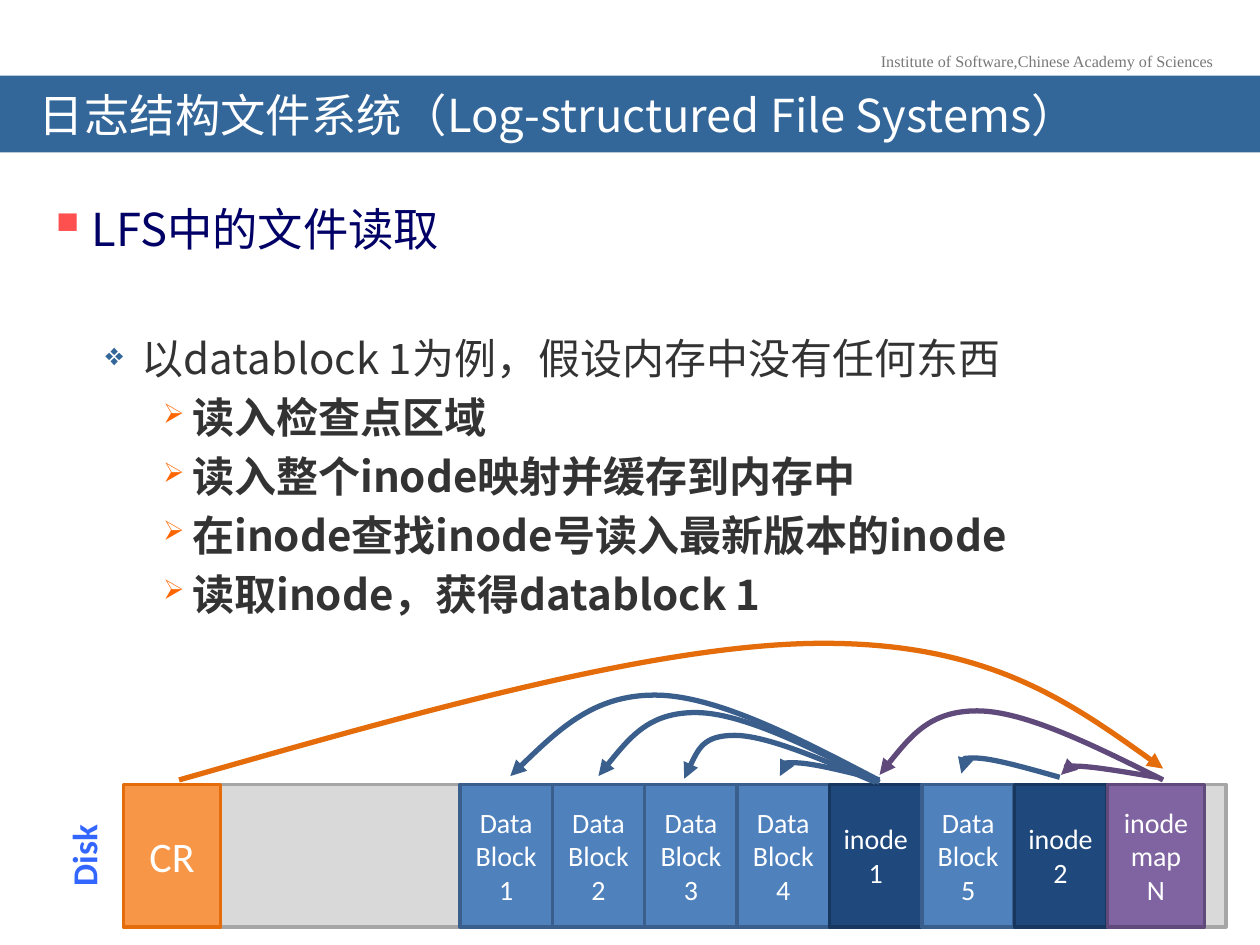
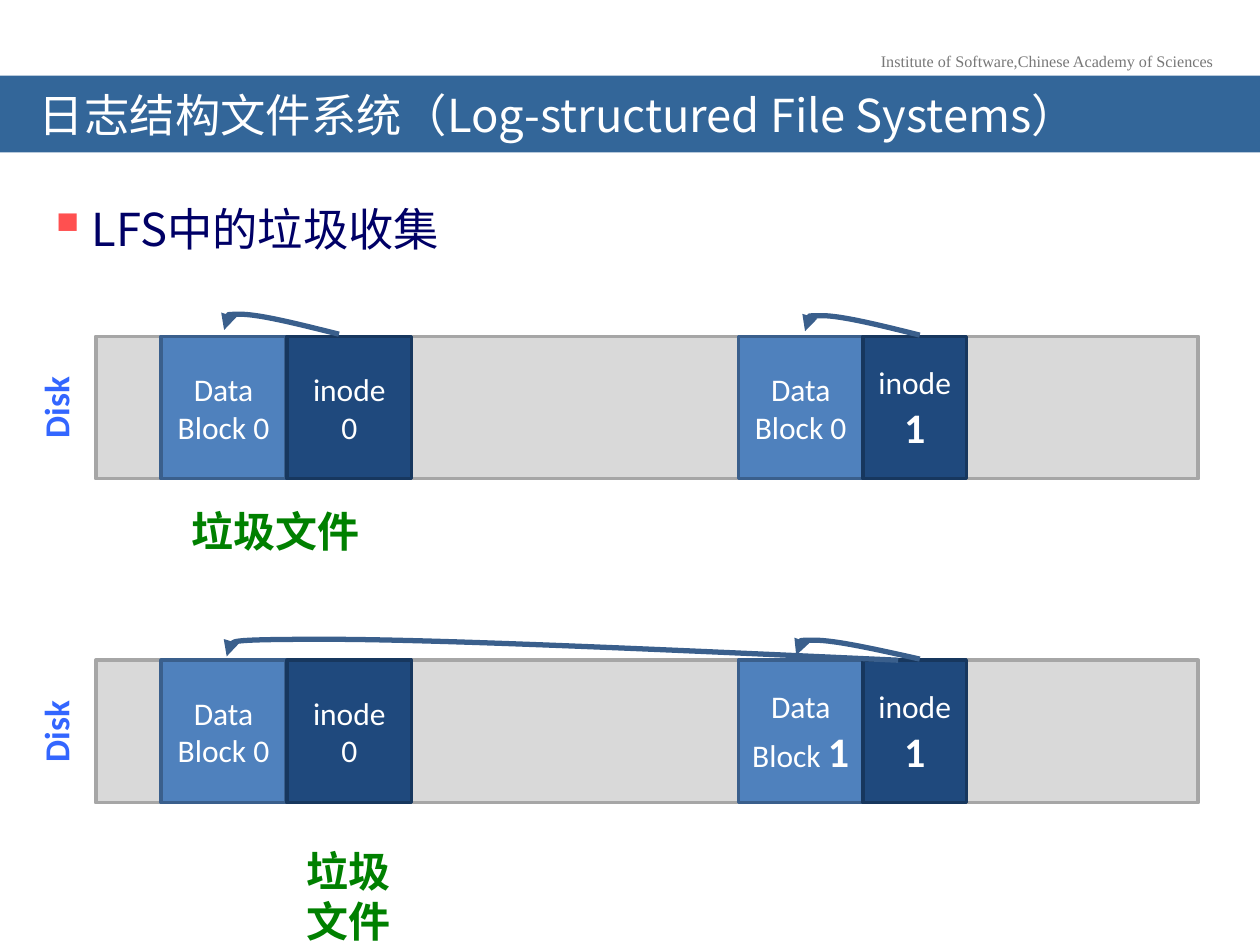
from lxml.etree import SubElement as Sub
from pptx import Presentation
from pptx.dml.color import RGBColor
from pptx.enum.shapes import MSO_SHAPE as Shape
from pptx.enum.text import MSO_ANCHOR as Anchor, PP_ALIGN as Align
from pptx.oxml.ns import qn
from pptx.util import Pt

HEI, CAL, TIMES = "Noto Sans CJK SC", "Calibri", "Times New Roman"
BAND, WHITE, GREEN = "336699", "FFFFFF", "008000"

# kind: fill, line
KINDS = {
    "bar": ("D9D9D9", "A6A6A6"),
    "data": ("4F81BD", "3A5F8C"),
    "inode": ("1F497D", "17375E"),
    "map": ("8064A2", "604A7B"),
    "check": ("F79646", "E46C0A"),
}

# level: left margin, indent, bullet, bullet colour, bullet size %, font
LEVELS = [
    (25.2, -25.2, "▪", "FF5050", 120, dict(size=25.9, color="000066")),
    (54, -20.9, "❖", BAND, 75, dict(size=24, color="333333")),
    (82.8, -16.6, "➢", "FF6600", 65, dict(size=24, color="333333", bold=True)),
]


def rgb(code):
    return RGBColor.from_string(code)


def add_run(para, text, name, size, color, bold=False):
    run = para.add_run()
    run.text = text
    font = run.font
    font.color.rgb = rgb(color)
    for key, value in dict(name=name, size=Pt(size), bold=bold).items():
        setattr(font, key, value)
    if name == HEI:
        Sub(font._element, qn("a:ea"), typeface=name)


def add_text(slide, box, text, wrap=True, **font):
    """Add a centred one-paragraph text box."""
    label = slide.shapes.add_textbox(*map(Pt, box))
    frame = label.text_frame
    frame.word_wrap = wrap
    para = frame.paragraphs[0]
    para.alignment = Align.CENTER
    add_run(para, text, **font)
    return label


def add_rect(slide, box, fill, line=None):
    rect = slide.shapes.add_shape(Shape.RECTANGLE, *map(Pt, box))
    rect.shadow.inherit = False
    rect.fill.solid()
    rect.fill.fore_color.rgb = rgb(fill)
    if line:
        rect.line.color.rgb = rgb(line)
        rect.line.width = Pt(2)
    else:
        rect.line.fill.background()
    return rect


def add_cell(slide, box, kind, text, size):
    """Add one disk block; text after * is larger and bold."""
    frame = add_rect(slide, box, *KINDS[kind]).text_frame
    frame.word_wrap = True
    frame.vertical_anchor = Anchor.MIDDLE
    for i, line in enumerate(text.split("\n")):
        para = frame.add_paragraph() if i else frame.paragraphs[0]
        para.alignment = Align.CENTER
        plain, _, big = line.partition("*")
        if plain:
            add_run(para, plain, CAL, size, WHITE)
        if big:
            add_run(para, big, CAL, 24, WHITE, True)


def add_arc(slide, left, top, kind, arc):
    """Draw a curved arrow of two cubics that meet at the peak."""
    x0, y0, xa, xb, peak, x1, y1 = arc
    dots = [(x0, y0), ((x0 + xa) / 2, (y0 + peak) / 2), (xa, peak),
            ((xa + xb) / 2, peak), (xb, peak),
            ((xb + x1) / 2, (peak + y1) / 2), (x1, y1)]
    dots = [(Pt(left + x), Pt(top + y)) for x, y in dots]
    pen = slide.shapes.build_freeform(*dots[0])
    pen.add_line_segments(dots[1:], close=False)
    curve = pen.convert_to_shape()
    curve.shadow.inherit = False
    curve.fill.background()
    curve.line.color.rgb = rgb(KINDS[kind][1])
    curve.line.width = Pt(3)
    Sub(curve.line._get_or_add_ln(), qn("a:tailEnd"), type="triangle")
    segs = list(curve._element.iter(qn("a:lnTo")))
    track = segs[0].getparent()
    for i in (0, 3):
        cubic = Sub(track, qn("a:cubicBezTo"))
        for seg in segs[i:i + 3]:
            cubic.append(seg[0])
            track.remove(seg)


def add_disk(slide, box, cells, arcs, size):
    """Place bar, label, cells and arrows relative to the bar's corner."""
    left, top, _, high = box
    add_rect(slide, box, *KINDS["bar"])
    label = add_text(slide, (left - 74.2, top + 24.8, 103, 31.7), "Disk",
                     name=CAL, size=20, color="3366FF", bold=True)
    label.rotation = 270
    for kind, x, wide, text in cells:
        add_cell(slide, (left + x, top, wide, high), kind, text, size)
    for kind, *arc in arcs:
        add_arc(slide, left, top, kind, arc)


def add_body(slide, box, items):
    """Add bulleted lines given as (level, space before, text)."""
    frame = slide.shapes.add_textbox(*map(Pt, box)).text_frame
    frame.word_wrap = True
    for i, (level, gap, text) in enumerate(items):
        margin, indent, mark, color, scale, font = LEVELS[level]
        para = frame.add_paragraph() if i else frame.paragraphs[0]
        props = para._p.get_or_add_pPr()
        props.set("marL", str(Pt(margin)))
        props.set("indent", str(Pt(indent)))
        Sub(Sub(props, qn("a:buClr")), qn("a:srgbClr"), val=color)
        Sub(props, qn("a:buSzPct"), val=str(scale * 1000))
        Sub(props, qn("a:buChar"), char=mark)
        if gap:
            para.space_before = Pt(gap)
        add_run(para, text, HEI, **font)


def add_page(deck, items):
    """Add a slide with the shared head, title band and bulleted body."""
    slide = deck.slides.add_slide(deck.slide_layouts[6])
    add_text(slide, (494.6, 26, 207.4, 18.7),
             "Institute of Software,Chinese Academy of Sciences",
             wrap=False, name=TIMES, size=9.2, color="777777")
    frame = add_rect(slide, (0, 43.2, 720, 43.9), BAND).text_frame
    look = dict(margin_left=Pt(22.3), margin_right=Pt(22.3),
                margin_top=Pt(11.5), margin_bottom=Pt(3.6),
                vertical_anchor=Anchor.MIDDLE, word_wrap=True)
    for key, value in look.items():
        setattr(frame, key, value)
    para = frame.paragraphs[0]
    para.alignment = Align.LEFT
    para.line_spacing = 0.7
    add_run(para, "日志结构文件系统（Log-structured File Systems）",
            HEI, 25.9, WHITE)
    add_body(slide, (20, 111.6, 664, 414), items)
    return slide


def add_read(deck):
    slide = add_page(deck, [
        (0, 0, "LFS中的文件读取"),
        (1, 44, "以datablock 1为例，假设内存中没有任何东西"),
        (2, 4.8, "读入检查点区域"),
        (2, 4.8, "读入整个inode映射并缓存到内存中"),
        (2, 4.8, "在inode查找inode号读入最新版本的inode"),
        (2, 4.8, "读取inode，获得datablock 1"),
    ])
    names = [f"Data Block {n}" for n in range(1, 5)]
    names += ["inode\n1", "Data Block 5", "inode\n2"]
    step = 52.8
    cells = [("data" if name.startswith("Data") else "inode",
              192.2 + i * step, step, name) for i, name in enumerate(names)]
    cells.append(("map", 562.3, 55.4, "inode\nmap\nN"))
    # kind, start x and y, two control x, peak y, end x and y
    arcs = [
        ("data", 431.3, -2.5, 338.4, 268.6, -51, 221, -4.7),
        ("data", 432, -1.1, 353.5, 300.2, -41, 271.4, -4.7),
        ("data", 429.8, -1.1, 367.2, 331.2, -28, 320.4, -3.2),
        ("data", 432, -2.5, 393.1, 374.4, -12.3, 375.1, -4.7),
        ("data", 535, -4, 496.1, 477.4, -15, 478.8, -6.1),
        ("map", 590.4, -4, 553, 534.2, -10.4, 535.7, -5.4),
        ("map", 594, -2.5, 514.8, 460.8, -42, 432, -5.4),
        ("check", 31.7, -2.5, 306, 493.9, -80.6, 594, -9),
    ]
    box = (70.6, 448.2, 630, 81.4)
    add_disk(slide, box, cells, arcs, 16)
    add_cell(slide, (box[0], box[1], 55.4, box[3]), "check", "CR", 24)


def add_clean(deck):
    slide = add_page(deck, [(0, 0, "LFS中的垃圾收集")])
    rows = [
        (192.2, "Data Block 0", [
            ("data", 139, -1.2, 93.6, 72, -12.6, 73.4, -3.6),
            ("data", 470.9, -0.7, 426.2, 403.9, -11.8, 405.4, -2.9)]),
        (377.3, "Data Block *1", [
            ("data", 458.6, 0, 195.1, 67.7, -12, 74.9, -2.2),
            ("data", 470.9, -0.7, 422.6, 398.9, -11.5, 400.3, -2.9)]),
    ]
    for top, block, arcs in rows:
        cells = [("data", 37.4, 71.3, "Data Block 0"),
                 ("inode", 109.4, 71, "inode\n0"),
                 ("data", 367.2, 71.3, block),
                 ("inode", 438.5, 59, "inode\n*1")]
        add_disk(slide, (54.7, top, 630, 81.4), cells, arcs, 18)
    for box in ((92.2, 285.1, 131, 28.8), (163.4, 479.5, 71.3, 51.1)):
        add_text(slide, box, "垃圾文件", name=TIMES, size=24,
                 color=GREEN, bold=True)


def main():
    deck = Presentation()
    deck.slide_width, deck.slide_height = Pt(720), Pt(540)
    add_read(deck)
    add_clean(deck)
    deck.save("out.pptx")


if __name__ == "__main__":
    main()
